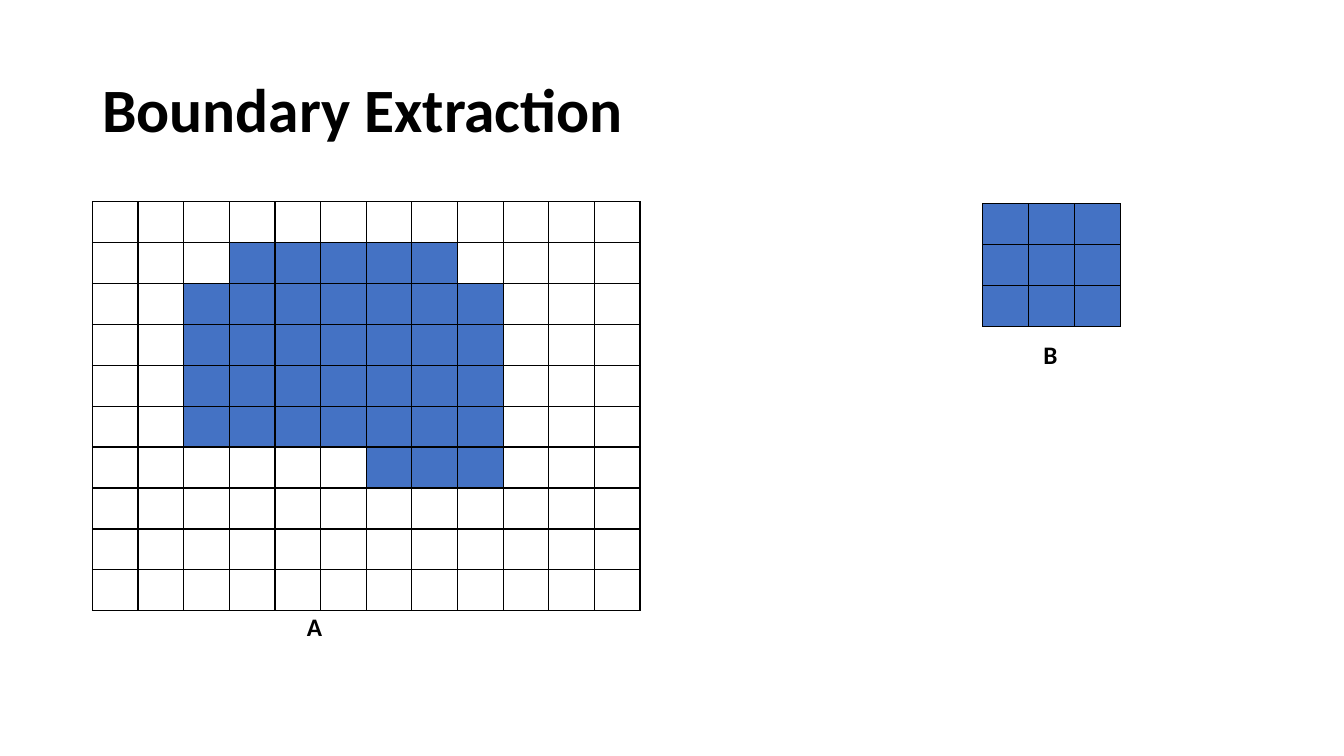
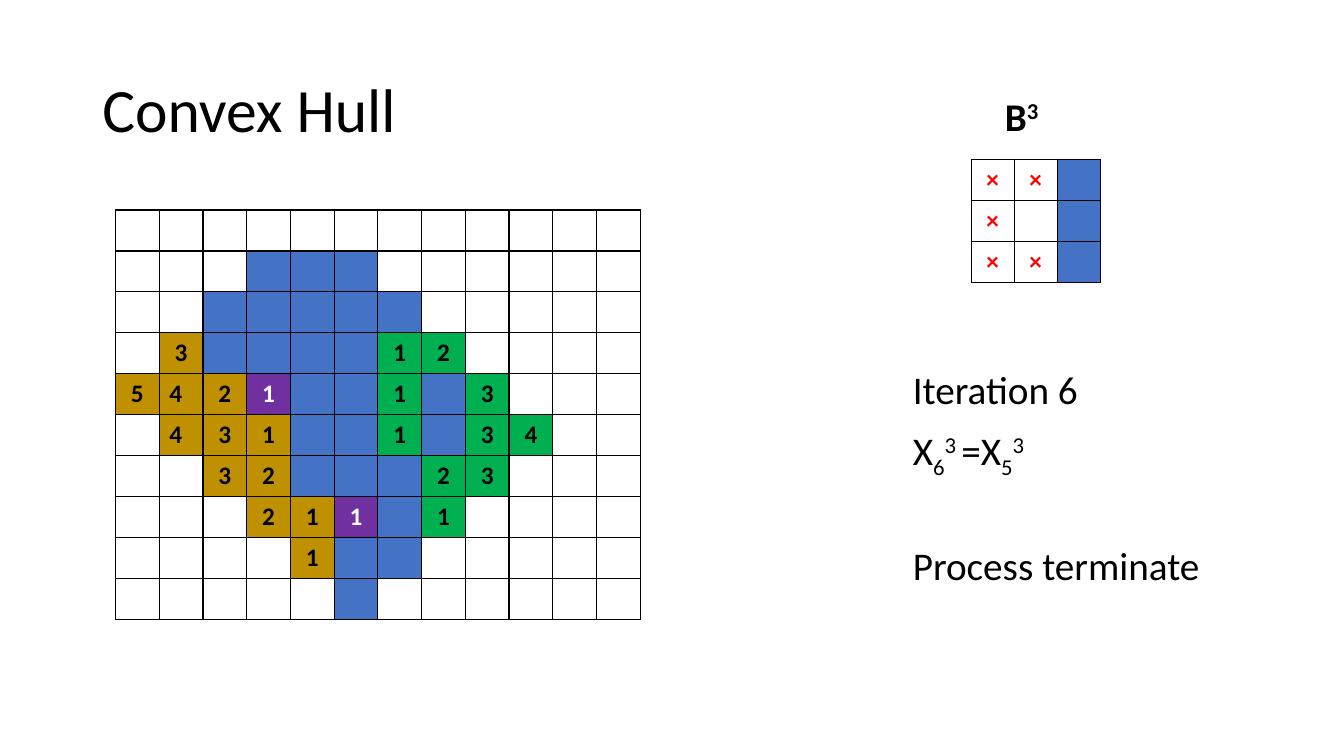
from dataclasses import dataclass

from lxml.etree import SubElement
from pptx import Presentation
from pptx.dml.color import RGBColor as RGB
from pptx.enum.text import MSO_ANCHOR as Anchor, PP_ALIGN as Align
from pptx.oxml.ns import qn
from pptx.util import Emu, Pt

PX = 9525  # EMU per px, 96 px to the inch


@dataclass(frozen=True)
class Theme:
    font: str = "Calibri"
    title: int = 44
    body: int = 28
    cell: int = 18
    line_spacing: float = 0.9
    black: str = "000000"
    white: str = "FFFFFF"
    red: str = "FF0000"
    blue: str = "4472C4"
    amber: str = "BF9000"
    green: str = "00B050"
    purple: str = "7030A0"
    border_pt: int = 1


THEME = Theme()

# First letter of a cell code: fill, text colour, alignment; the rest is its text
CELL_KINDS = {
    ".": (None, THEME.black, Align.CENTER),
    "#": (THEME.blue, THEME.black, Align.CENTER),
    "x": (None, THEME.red, Align.CENTER),
    "a": (THEME.amber, THEME.black, Align.CENTER),
    "l": (THEME.amber, THEME.black, Align.LEFT),
    "g": (THEME.green, THEME.black, Align.CENTER),
    "p": (THEME.purple, THEME.white, Align.CENTER),
}
ROW_HEIGHT = 39
TITLE_BOX = (88, 38, 1104, 139)
SUPERSCRIPT, SUBSCRIPT = 30000, -25000

SET_A = """
. . . . . . . . . . . .
. . . # # # # # . . . .
. . # # # # # # # . . .
. . # # # # # # # . . .
. . # # # # # # # . . .
. . # # # # # # # . . .
. . . . . . # # # . . .
. . . . . . . . . . . .
. . . . . . . . . . . .
. . . . . . . . . . . .
"""
ELEMENT_B = """
# # #
# # #
# # #
"""
HULL = """
.  .  .  .  .  .  .  .  .  .  .  .
.  .  .  #  #  #  .  .  .  .  .  .
.  .  #  #  #  #  #  .  .  .  .  .
.  a3 #  #  #  #  g1 g2 .  .  .  .
a5 l4 a2 p1 #  #  g1 #  g3 .  .  .
.  l4 a3 a1 #  #  g1 #  g3 g4 .  .
.  .  a3 a2 #  #  #  g2 g3 .  .  .
.  .  .  a2 a1 p1 #  g1 .  .  .  .
.  .  .  .  a1 #  #  .  .  .  .  .
.  .  .  .  .  #  .  .  .  .  .  .
"""
ELEMENT_B3 = """
x× x× #
x× .  #
x× x× #
"""

# Grids: (left, top, width, cells). Labels: (box, runs, size).
# Notes: (space before in points, runs). A run is (text, baseline).
SLIDES = [
    {
        "title": "Boundary Extraction",
        "bold": True,
        "grids": [(88, 192, 522, SET_A), (936, 194, 131, ELEMENT_B)],
        "labels": [
            ((209, 549, 181, 96), [("A", 0)], THEME.cell),
            ((910, 290, 181, 96), [("B", 0)], THEME.cell),
        ],
    },
    {
        "title": "Convex Hull",
        "bold": False,
        "grids": [(110, 200, 500, HULL), (925, 152, 123, ELEMENT_B3)],
        "labels": [((925, 62, 96, 96), [("B", 0), ("3", SUPERSCRIPT)], THEME.body)],
        "notes_box": (860, 348, 319, 230),
        "notes": [
            (0, [("Iteration 6", 0)]),
            (10, [("X", 0), ("6", SUBSCRIPT), ("3 ", SUPERSCRIPT),
                  ("=X", 0), ("5", SUBSCRIPT), ("3", SUPERSCRIPT)]),
            (51, [("Process terminate", 0)]),
        ],
    },
]


def set_font(paragraph, size, bold=False, color=THEME.black):
    font = paragraph.font
    font.name = THEME.font
    font.size = Pt(size)
    font.bold = bold
    font.color.rgb = RGB.from_string(color)


def add_text(slide, box, paragraphs, size, bold=False, align=Align.LEFT,
             anchor=Anchor.MIDDLE, line_spacing=None):
    frame = slide.shapes.add_textbox(*(Emu(n * PX) for n in box)).text_frame
    frame.word_wrap = True
    frame.vertical_anchor = anchor
    for index, (space_before, runs) in enumerate(paragraphs):
        paragraph = frame.add_paragraph() if index else frame.paragraphs[0]
        paragraph.alignment = align
        paragraph.line_spacing = line_spacing
        if space_before:
            paragraph.space_before = Pt(space_before)
        set_font(paragraph, size, bold)
        for text, baseline in runs:
            run = paragraph.add_run()
            run.text = text
            if baseline:
                run.font._element.set("baseline", str(baseline))


def add_borders(cell):
    properties = cell._tc.get_or_add_tcPr()
    for side in ("a:lnL", "a:lnR", "a:lnT", "a:lnB"):
        line = SubElement(properties, qn(side), w=str(Pt(THEME.border_pt)))
        fill = SubElement(line, qn("a:solidFill"))
        SubElement(fill, qn("a:srgbClr"), val=THEME.black)


def add_grid(slide, left, top, width, cells):
    rows = [line.split() for line in cells.strip().splitlines()]
    height = ROW_HEIGHT * len(rows)
    box = (Emu(n * PX) for n in (left, top, width, height))
    table = slide.shapes.add_table(len(rows), len(rows[0]), *box).table
    table.first_row = table.horz_banding = False
    for row_index, row in enumerate(rows):
        for column_index, code in enumerate(row):
            fill, color, align = CELL_KINDS[code[0]]
            cell = table.cell(row_index, column_index)
            add_borders(cell)
            if fill:
                cell.fill.solid()
                cell.fill.fore_color.rgb = RGB.from_string(fill)
            else:
                cell.fill.background()
            cell.text = code[1:]
            paragraph = cell.text_frame.paragraphs[0]
            paragraph.alignment = align
            set_font(paragraph, THEME.cell, True, color)


def add_slide(presentation, content):
    slide = presentation.slides.add_slide(presentation.slide_layouts[6])
    add_text(slide, TITLE_BOX, [(0, [(content["title"], 0)])], THEME.title,
             content["bold"], line_spacing=THEME.line_spacing)
    for grid in content["grids"]:
        add_grid(slide, *grid)
    for box, runs, size in content["labels"]:
        add_text(slide, box, [(0, runs)], size, True, Align.CENTER)
    if "notes" in content:
        add_text(slide, content["notes_box"], content["notes"], THEME.body,
                 anchor=Anchor.TOP, line_spacing=THEME.line_spacing)


def main():
    presentation = Presentation()
    presentation.slide_width = Emu(1280 * PX)
    presentation.slide_height = Emu(720 * PX)
    for content in SLIDES:
        add_slide(presentation, content)
    presentation.save("out.pptx")


if __name__ == "__main__":
    main()
